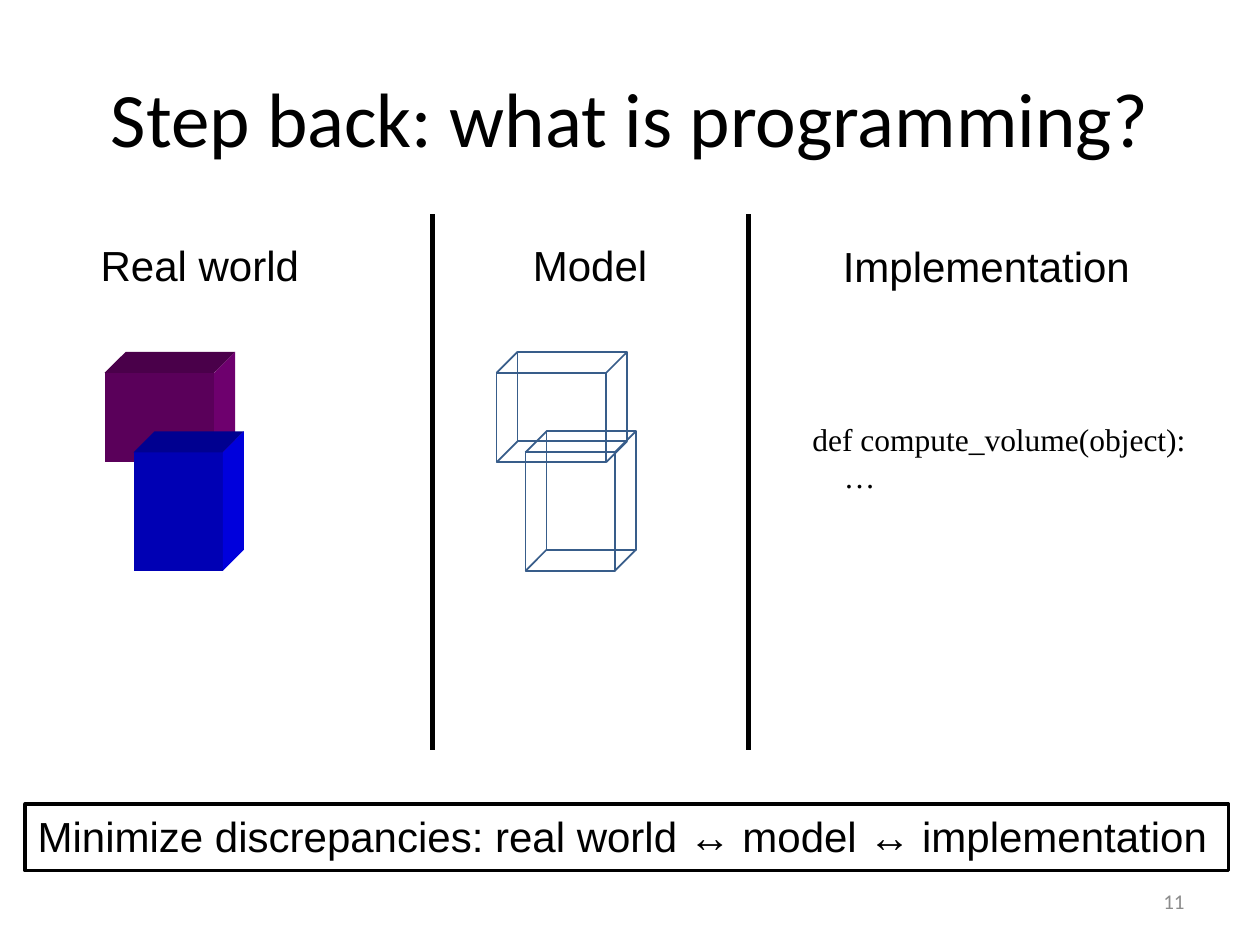
from dataclasses import dataclass

from lxml.etree import SubElement
from pptx import Presentation
from pptx.dml.color import RGBColor
from pptx.enum.shapes import MSO_CONNECTOR, MSO_SHAPE
from pptx.enum.text import MSO_ANCHOR as Anchor, PP_ALIGN as Align
from pptx.oxml.ns import qn
from pptx.util import Pt

COLORS = {
    "black": "000000",
    "page_number": "8C8C8C",
    "wire": "385D8A",
    "purple_front": "5A005A",
    "purple_top": "4A004A",
    "purple_side": "6E006E",
    "blue_front": "0000B4",
    "blue_top": "000090",
    "blue_side": "0000DC",
}
DEPTH = 12
MODEL_OFFSET = 224


@dataclass
class Block:
    """A box in oblique view; the position is that of its front face."""
    left: float
    top: float
    width: float
    height: float
    hue: str

    def front(self) -> list:
        right, bottom = self.left + self.width, self.top + self.height
        return [(self.left, self.top), (right, self.top),
                (right, bottom), (self.left, bottom)]

    def back(self) -> list:
        return [(x + DEPTH, y - DEPTH) for x, y in self.front()]


@dataclass
class Label:
    lines: list[str]
    left: float
    top: float
    width: float
    height: float
    size: float = 24
    font: str = "Arial"
    color: str = "black"
    align: Align = Align.LEFT
    anchor: Anchor = Anchor.TOP


BLOCKS = [
    Block(59.8, 213.1, 62.6, 51.1, "purple"),
    Block(76.3, 258.5, 51.1, 67.7, "blue"),
]
LABELS = [
    Label(["Real world"], 50.4, 133.2, 128.2, 36),
    Label(["Model"], 297.4, 133.2, 79.9, 36),
    Label(["Implementation"], 474.5, 133.9, 178.6, 36),
    Label(["def compute_volume(object):", "    …"], 457.2, 236.2, 230.4, 51,
          size=18, font="Times New Roman"),
    Label(["11"], 516.2, 500.4, 167.8, 28.8, size=12, font="Calibri",
          color="page_number", align=Align.RIGHT, anchor=Anchor.MIDDLE),
]
SUMMARY = Label(["Minimize discrepancies: real world ↔ model ↔ implementation"],
                14.4, 459.4, 687.6, 38.2)
DIVIDERS = [247, 427.7]


def rgb(name: str) -> RGBColor:
    return RGBColor.from_string(COLORS[name])


def write(shape, label: Label) -> None:
    frame = shape.text_frame
    frame.word_wrap = False
    frame.vertical_anchor = label.anchor
    for index, line in enumerate(label.lines):
        paragraph = frame.paragraphs[0] if index == 0 else frame.add_paragraph()
        paragraph.alignment = label.align
        run = paragraph.add_run()
        run.text = line
        run.font.size = Pt(label.size)
        run.font.name = label.font
        run.font.color.rgb = rgb(label.color)


def bounds(label: Label) -> list:
    return [Pt(v) for v in (label.left, label.top, label.width, label.height)]


def add_outline(slide, contours: list, close: bool):
    """Add one freeform made of several lists of points."""
    first, *others = [[(Pt(x), Pt(y)) for x, y in points] for points in contours]
    builder = slide.shapes.build_freeform(*first[0])
    builder.add_line_segments(first[1:], close=close)
    for points in others:
        builder.move_to(*points[0])
        builder.add_line_segments(points[1:], close=close)
    shape = builder.convert_to_shape()
    shape.shadow.inherit = False
    return shape


def add_solid(slide, block: Block) -> None:
    front, back = block.front(), block.back()
    faces = {
        "front": front,
        "top": [front[0], back[0], back[1], front[1]],
        "side": [front[1], back[1], back[2], front[2]],
    }
    for face, points in faces.items():
        shape = add_outline(slide, [points], close=True)
        shape.fill.solid()
        shape.fill.fore_color.rgb = rgb(f"{block.hue}_{face}")
        shape.line.fill.background()


def add_wireframe(slide, block: Block) -> None:
    front, back = block.front(), block.back()
    rings = [face + face[:1] for face in (front, back)]
    edges = [list(pair) for pair in zip(front, back)]
    shape = add_outline(slide, rings + edges, close=False)
    shape.fill.background()
    shape.line.color.rgb = rgb("wire")
    shape.line.width = Pt(1)


def add_divider(slide, x: float) -> None:
    line = slide.shapes.add_connector(
        MSO_CONNECTOR.STRAIGHT, Pt(x), Pt(122.4), Pt(x), Pt(428.4))
    line.line.color.rgb = rgb("black")
    line.line.width = Pt(3)
    SubElement(line._element.spPr, qn("a:effectLst"))


def add_summary(slide) -> None:
    box = slide.shapes.add_shape(MSO_SHAPE.RECTANGLE, *bounds(SUMMARY))
    box.shadow.inherit = False
    box.fill.background()
    box.line.color.rgb = rgb("black")
    box.line.width = Pt(2)
    write(box, SUMMARY)


def main() -> None:
    deck = Presentation()
    deck.slide_width, deck.slide_height = Pt(720), Pt(540)
    slide = deck.slides.add_slide(deck.slide_layouts[5])

    heading = Label(["Step back: what is programming?"], 36, 21.6, 648, 90,
                    size=44, font="Calibri", align=Align.CENTER,
                    anchor=Anchor.MIDDLE)
    title = slide.shapes.title
    title.left, title.top, title.width, title.height = bounds(heading)
    write(title, heading)

    for block in BLOCKS:
        add_solid(slide, block)
    for block in BLOCKS:
        add_wireframe(slide, Block(block.left + MODEL_OFFSET, block.top,
                                   block.width, block.height, block.hue))
    for x in DIVIDERS:
        add_divider(slide, x)
    for label in LABELS:
        write(slide.shapes.add_textbox(*bounds(label)), label)
    add_summary(slide)
    deck.save("out.pptx")


if __name__ == "__main__":
    main()
